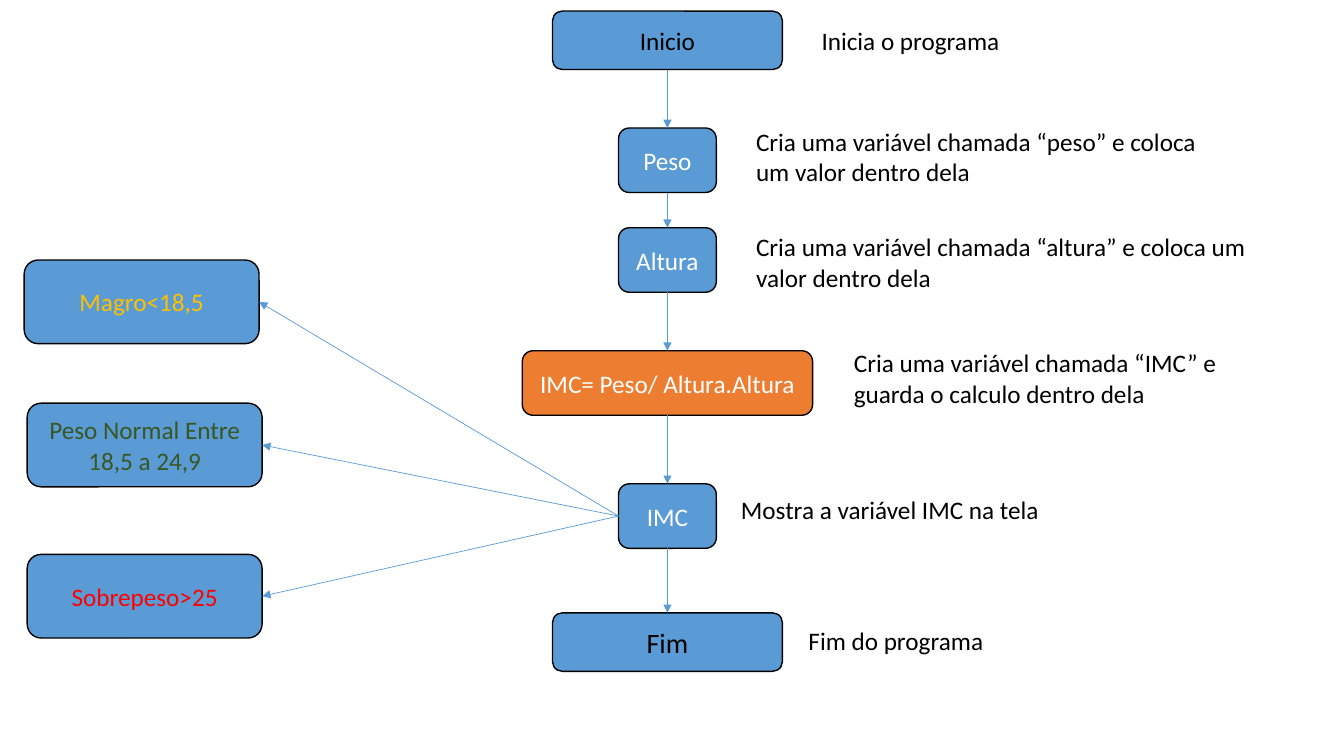
from lxml import etree
from pptx import Presentation
from pptx.dml.color import RGBColor
from pptx.enum.shapes import MSO_CONNECTOR, MSO_SHAPE
from pptx.enum.text import MSO_ANCHOR, MSO_AUTO_SIZE, PP_ALIGN
from pptx.oxml.ns import qn
from pptx.util import Inches, Pt

ROUNDED = MSO_SHAPE.ROUNDED_RECTANGLE
STRAIGHT = MSO_CONNECTOR.STRAIGHT
MIDDLE = MSO_ANCHOR.MIDDLE
CENTER, LEFT = PP_ALIGN.CENTER, PP_ALIGN.LEFT
GROW = MSO_AUTO_SIZE.SHAPE_TO_FIT_TEXT
TOP_SIDE, LEFT_SIDE, BOTTOM_SIDE, RIGHT_SIDE = range(4)

BLUE, ORANGE, BLACK, WHITE = "5B9BD5", "ED7D31", "000000", "FFFFFF"
FLOW_CENTER = 6.62
TERMINAL, VARIABLE, FORMULA = (2.28, 0.58), (0.97, 0.64), (2.88, 0.64)
RESULT = (2.33, 0.83)

STEPS = [
    ("Inicio", 0.11, TERMINAL, BLUE, BLACK, 18),
    ("Peso", 1.27, VARIABLE, BLUE, WHITE, 18),
    ("Altura", 2.26, VARIABLE, BLUE, WHITE, 18),
    ("IMC= Peso/ Altura.Altura", 3.48, FORMULA, ORANGE, WHITE, 18),
    ("IMC", 4.8, VARIABLE, BLUE, WHITE, 18),
    ("Fim", 6.08, TERMINAL, BLUE, BLACK, 20),
]
RESULTS = [
    ("Magro<18,5", 0.24, 2.58, "FFC000"),
    ("Peso Normal Entre 18,5 a 24,9", 0.27, 4, "385723"),
    ("Sobrepeso>25", 0.27, 5.5, "FF0000"),
]
NOTES = [
    ("Inicia o programa", 8.05, 0.2, 2, 0.4),
    ("Cria uma variável chamada “peso” e coloca um valor dentro dela", 7.4, 1.2, 4.91, 0.71),
    ("Cria uma variável chamada “altura” e coloca um valor dentro dela", 7.4, 2.25, 5.29, 0.71),
    ("Cria uma variável chamada “IMC” e guarda o calculo dentro dela", 8.37, 3.4, 4.42, 0.71),
    ("Mostra a variável IMC na tela", 7.25, 4.86, 4.25, 0.4),
    ("Fim do programa", 7.92, 6.15, 2.01, 0.4),
]


def color(value):
    return RGBColor.from_string(value)


def set_format(target, values):
    for name, value in values.items():
        setattr(target, name, value)


def write(shape, text, text_color, size, alignment, frame_format):
    set_format(shape.text_frame, {"word_wrap": True, **frame_format})
    paragraph = shape.text_frame.paragraphs[0]
    paragraph.alignment = alignment
    run = paragraph.add_run()
    run.text = text
    set_format(run.font, {"name": "Calibri", "size": Pt(size)})
    run.font.color.rgb = color(text_color)


def add_box(slide, text, left, top, size, fill, text_color, text_size=18):
    shape = slide.shapes.add_shape(ROUNDED, *map(Inches, (left, top, *size)))
    shape.shadow.inherit = False
    shape.fill.solid()
    shape.fill.fore_color.rgb = color(fill)
    shape.line.color.rgb = color(BLACK)
    shape.line.width = Pt(1)
    write(shape, text, text_color, text_size, CENTER, {"vertical_anchor": MIDDLE})
    return shape


def add_arrow(slide, source, source_side, target, target_side):
    connector = slide.shapes.add_connector(STRAIGHT, 0, 0, 0, 0)
    connector.begin_connect(source, source_side)
    connector.end_connect(target, target_side)
    connector.line.color.rgb = color(BLUE)
    connector.line.width = Pt(0.5)
    etree.SubElement(connector.line._get_or_add_ln(), qn("a:tailEnd"), type="triangle")
    etree.SubElement(connector._element.spPr, qn("a:effectLst"))


def main():
    presentation = Presentation()
    set_format(presentation, {"slide_width": Inches(13.33), "slide_height": Inches(7.5)})
    slide = presentation.slides.add_slide(presentation.slide_layouts[6])

    steps = {}
    for text, top, size, fill, text_color, text_size in STEPS:
        left = FLOW_CENTER - size[0] / 2
        steps[text] = add_box(slide, text, left, top, size, fill, text_color, text_size)
    flow = list(steps.values())
    for source, target in zip(flow, flow[1:]):
        add_arrow(slide, source, BOTTOM_SIDE, target, TOP_SIDE)

    for text, left, top, text_color in RESULTS:
        result = add_box(slide, text, left, top, RESULT, BLUE, text_color)
        add_arrow(slide, steps["IMC"], LEFT_SIDE, result, RIGHT_SIDE)

    for text, *bounds in NOTES:
        note = slide.shapes.add_textbox(*map(Inches, bounds))
        write(note, text, BLACK, 18, LEFT, {"auto_size": GROW})

    presentation.save("out.pptx")


if __name__ == "__main__":
    main()
